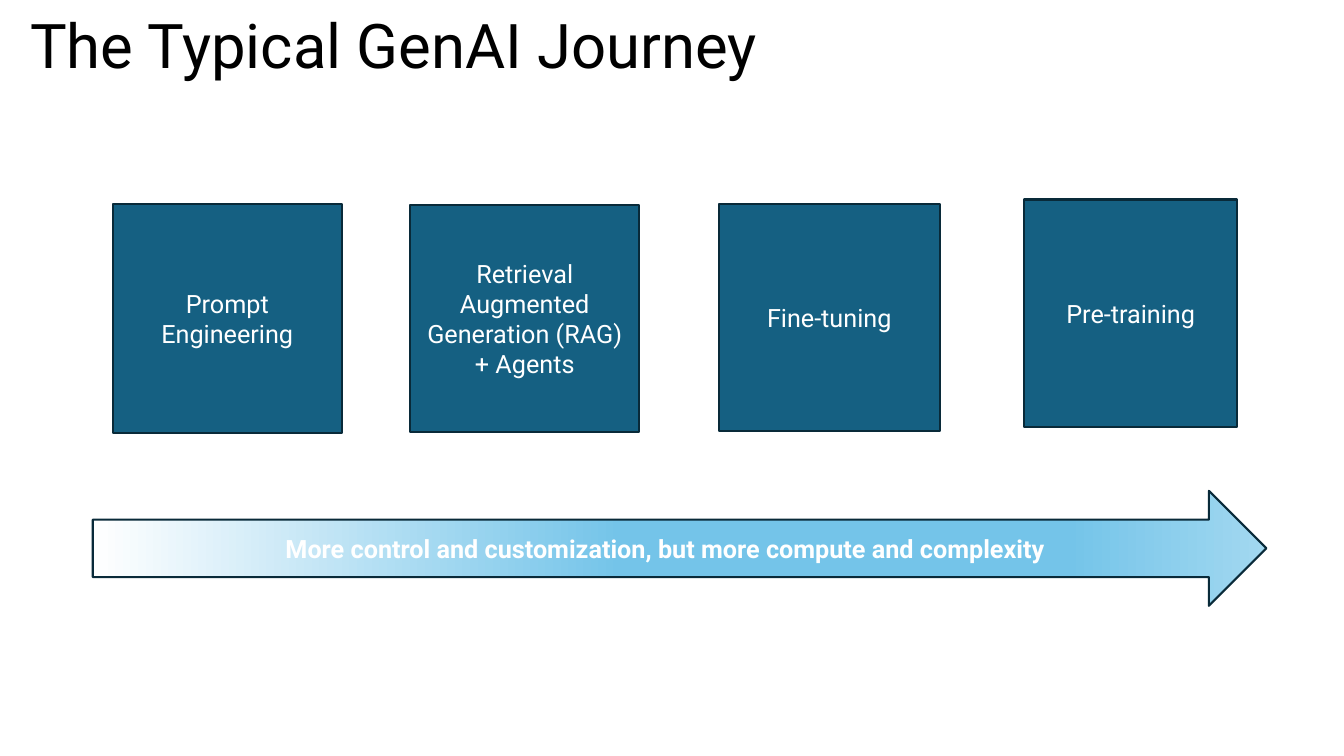
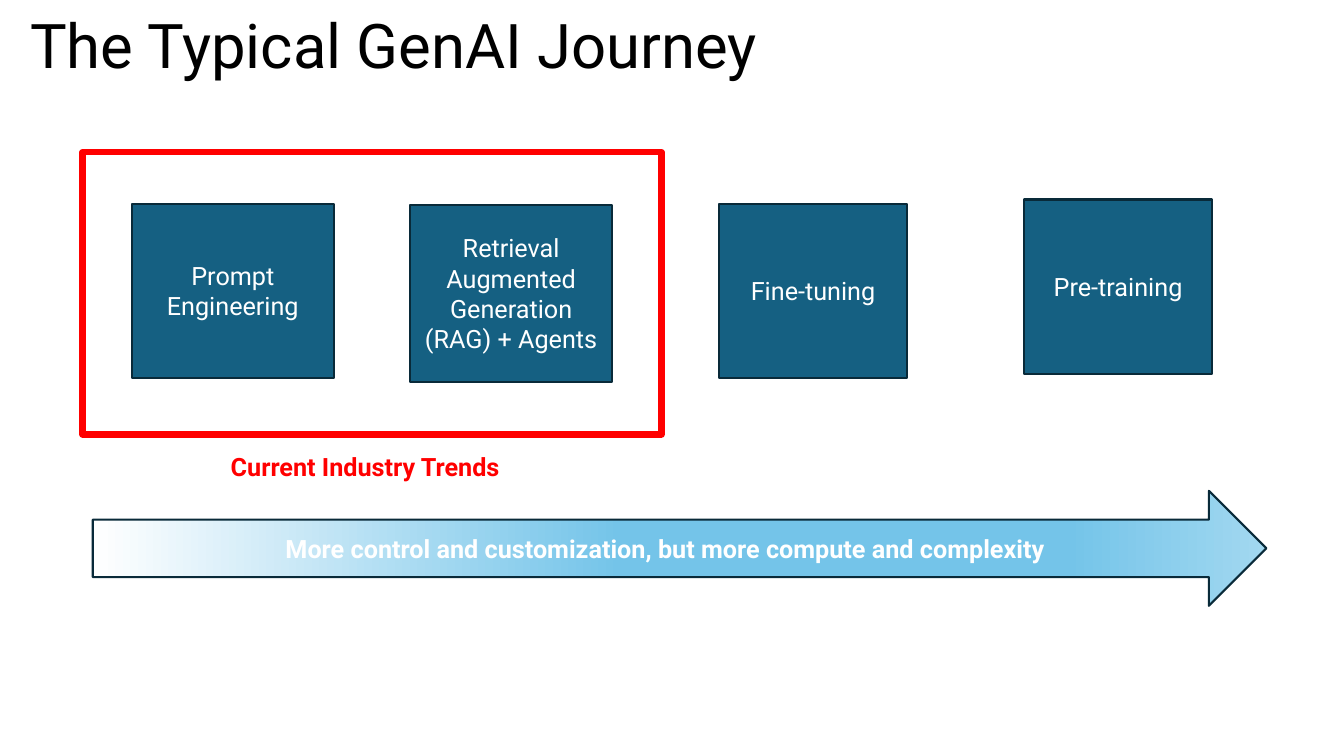
from dataclasses import dataclass

from pptx import Presentation
from pptx.dml.color import RGBColor
from pptx.enum.shapes import MSO_SHAPE as Preset
from pptx.enum.text import MSO_ANCHOR as Anchor, MSO_AUTO_SIZE as AutoSize, PP_ALIGN as Align
from pptx.oxml import parse_xml
from pptx.oxml.ns import nsdecls, qn
from pptx.util import Inches, Pt

# Shared look
FONT = "Roboto"
BLACK, WHITE, RED = "000000", "FFFFFF", "FF0000"
TEAL, NAVY = "156082", "092A39"
ARROW_STOPS = ((0, WHITE), (45, "74C4E9"), (83, "74C4E9"), (100, "A2D8F0"))

TITLE = "The Typical GenAI Journey"
ARROW_TEXT = "More control and customization, but more compute and complexity"
STAGE_NAMES = (
    "Prompt Engineering",
    "Retrieval Augmented Generation (RAG) + Agents",
    "Fine-tuning",
    "Pre-training",
)


@dataclass(frozen=True)
class Area:
    left: float
    top: float
    width: float
    height: float

    def lengths(self) -> tuple:
        return tuple(Inches(n) for n in (self.left, self.top, self.width, self.height))


TITLE_AREA = Area(0.2, 0.07, 11.5, 0.82)
ARROW_AREA = Area(0.92, 4.87, 11.64, 1.14)
TREND_FRAME = Area(0.82, 1.51, 5.74, 2.8)
TREND_LABEL = Area(2.19, 4.43, 3.4, 0.4)

WIDE_STAGES = (
    Area(1.12, 2.02, 2.27, 2.28),
    Area(4.07, 2.03, 2.27, 2.26),
    Area(7.13, 2.02, 2.19, 2.26),
    Area(10.16, 1.98, 2.11, 2.26),
)
COMPACT_STAGES = (
    Area(1.31, 2.02, 2, 1.73),
    Area(4.07, 2.03, 2, 1.76),
    Area(7.13, 2.02, 1.87, 1.73),
    Area(10.16, 1.98, 1.86, 1.73),
)


def color(code: str) -> RGBColor:
    return RGBColor.from_string(code)


def write(frame, text: str, ink: str, size: float = 18, bold: bool = False,
          align=Align.CENTER, anchor=Anchor.MIDDLE, line_spacing: float = 1.0) -> None:
    """Put one formatted paragraph in a text frame."""
    para = frame.paragraphs[0]
    span = para.add_run()
    span.text = text
    formats = (
        (frame, {"word_wrap": True, "auto_size": AutoSize.NONE, "vertical_anchor": anchor}),
        (para, {"alignment": align, "line_spacing": line_spacing}),
        (span.font, {"name": FONT, "size": Pt(size), "bold": bold}),
    )
    for target, values in formats:
        for name, value in values.items():
            setattr(target, name, value)
    span.font.color.rgb = color(ink)


def add_outlined(page, preset, area: Area, line: str = NAVY, weight: float = 1.5):
    """Add an unfilled shape without a shadow."""
    box = page.shapes.add_shape(preset, *area.lengths())
    box.shadow.inherit = False
    box.fill.background()
    box.line.color.rgb = color(line)
    box.line.width = Pt(weight)
    return box


def add_stage(page, area: Area, name: str) -> None:
    box = add_outlined(page, Preset.RECTANGLE, area)
    box.fill.solid()
    box.fill.fore_color.rgb = color(TEAL)
    write(box.text_frame, name, WHITE)


def add_arrow(page) -> None:
    arrow = add_outlined(page, Preset.RIGHT_ARROW, ARROW_AREA)
    arrow.fill.gradient()
    arrow.fill.gradient_angle = 0
    # A gradient with more than two stops needs XML
    stops = next(arrow._element.iter(qn("a:gsLst")))
    stops.clear()
    for percent, code in ARROW_STOPS:
        stops.append(parse_xml(
            f'<a:gs {nsdecls("a")} pos="{percent * 1000}"><a:srgbClr val="{code}"/></a:gs>'))
    write(arrow.text_frame, ARROW_TEXT, WHITE, bold=True)


def add_trend(page) -> None:
    """Frame the first two stages and label the frame."""
    add_outlined(page, Preset.RECTANGLE, TREND_FRAME, RED, 4.5)
    label = page.shapes.add_textbox(*TREND_LABEL.lengths())
    write(label.text_frame, "Current Industry Trends", RED, bold=True,
          align=Align.LEFT, anchor=Anchor.TOP)


def add_journey(deck, stages: tuple[Area, ...]):
    """Add a page with the title, the four stages and the arrow."""
    page = deck.slides.add_slide(deck.slide_layouts.get_by_name("Title Only"))
    title = page.shapes.title
    title.left, title.top, title.width, title.height = TITLE_AREA.lengths()
    write(title.text_frame, TITLE, BLACK, size=44, align=Align.LEFT, line_spacing=0.9)
    for area, name in zip(stages, STAGE_NAMES):
        add_stage(page, area, name)
    add_arrow(page)
    return page


def main() -> None:
    deck = Presentation()
    deck.slide_width, deck.slide_height = Inches(13.33), Inches(7.5)
    add_journey(deck, WIDE_STAGES)
    add_trend(add_journey(deck, COMPACT_STAGES))
    deck.save("out.pptx")


if __name__ == "__main__":
    main()
